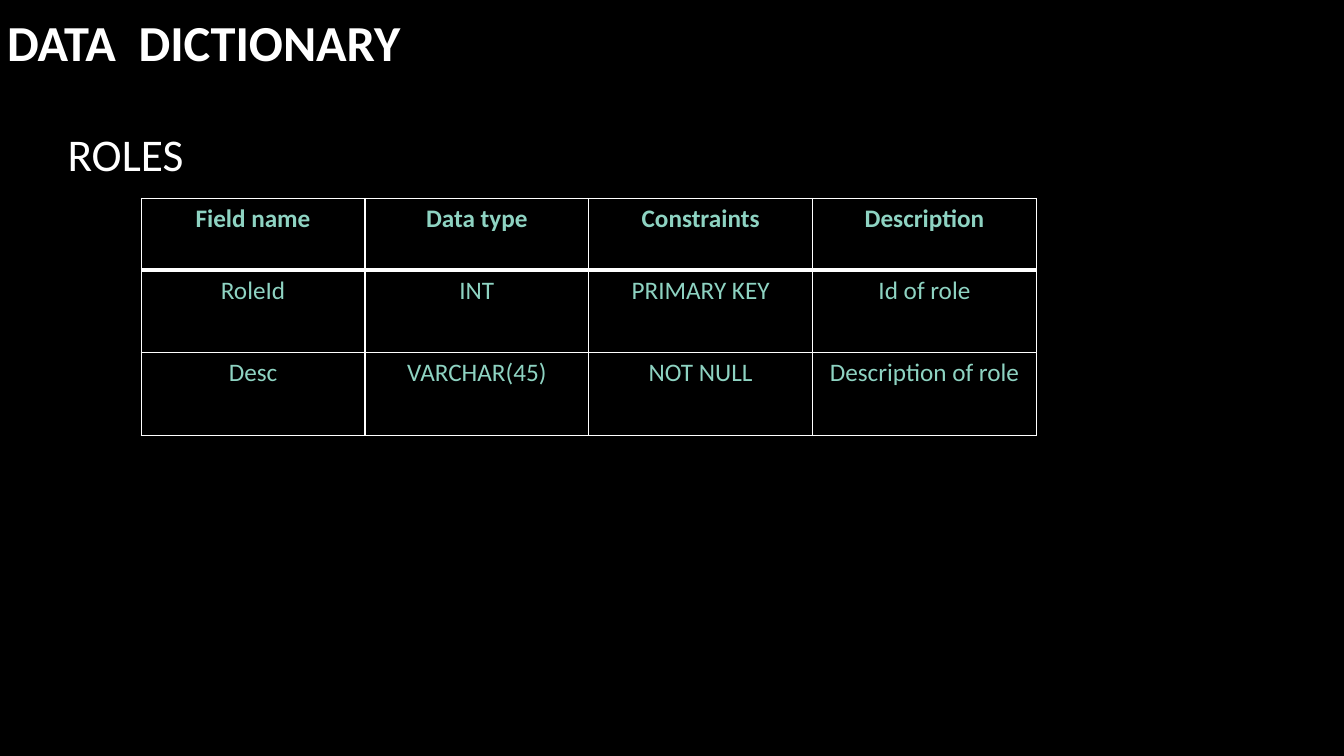
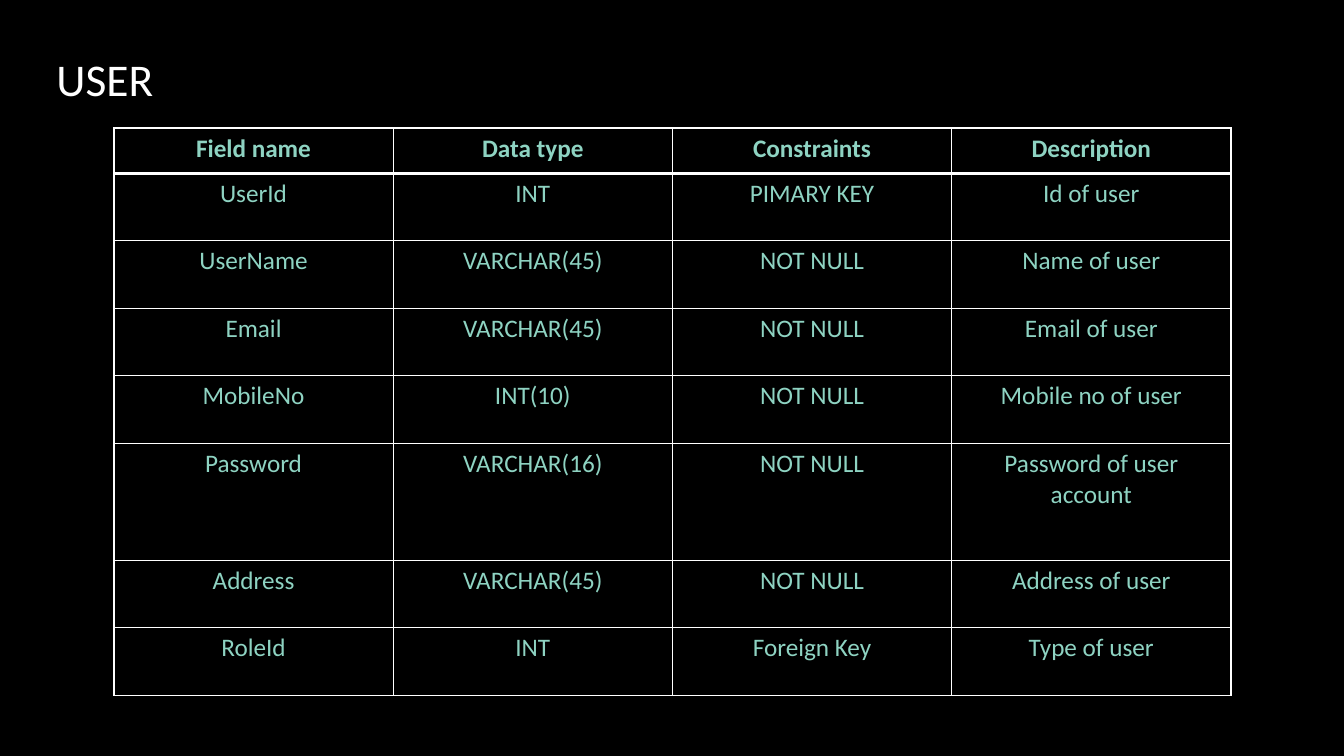
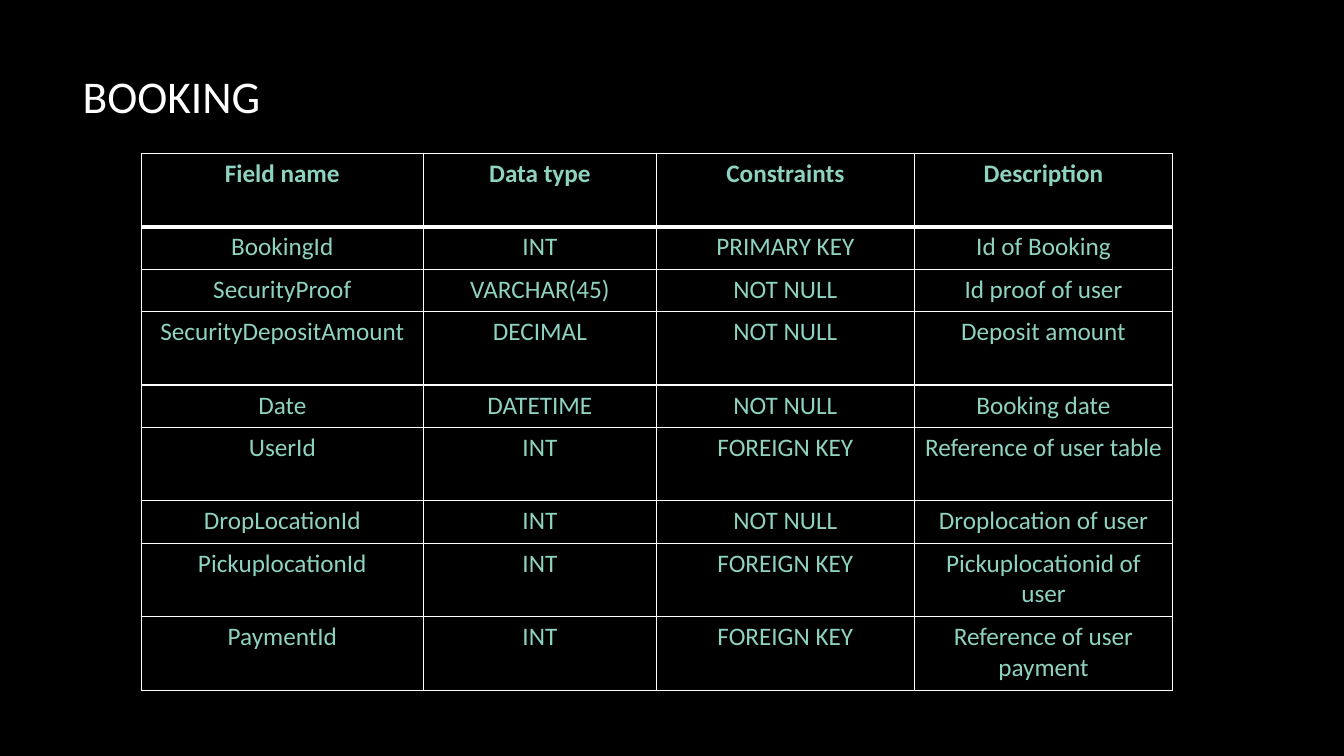
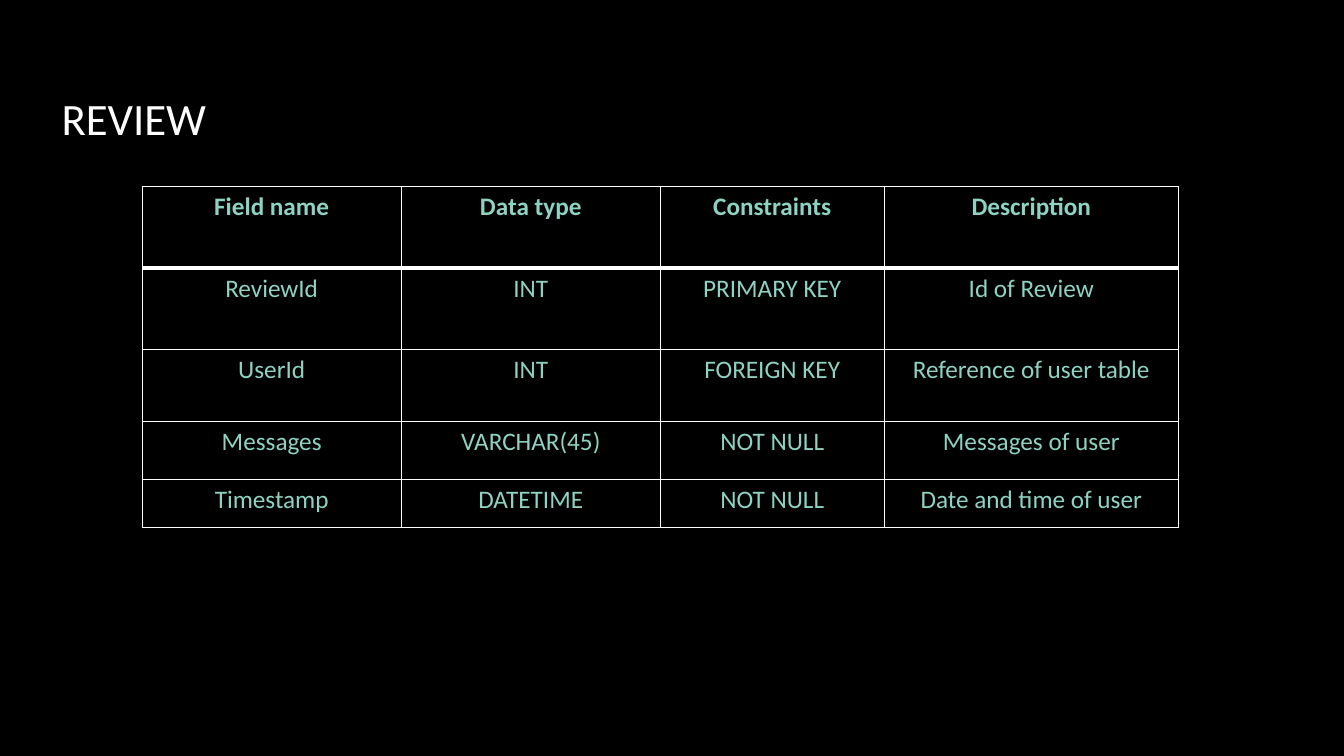
from dataclasses import dataclass

from lxml.etree import SubElement
from pptx import Presentation
from pptx.dml.color import RGBColor
from pptx.enum.text import MSO_ANCHOR, MSO_AUTO_SIZE, PP_ALIGN
from pptx.oxml.ns import qn
from pptx.util import Inches, Pt

BLACK = RGBColor(0x00, 0x00, 0x00)
WHITE = RGBColor(0xFF, 0xFF, 0xFF)
MINT = RGBColor(0x8E, 0xD3, 0xC2)
FONT = "Calibri"
HEADINGS = ("Field name", "Data type", "Constraints", "Description")
THIN, THICK = 1, 3  # border widths in points


@dataclass(frozen=True)
class TitleLine:
    text: str
    size: float = 32.4
    bold: bool = False
    indent: float = 0
    space_before: float = 0


@dataclass(frozen=True)
class Box:
    left: float
    top: float
    width: float
    height: float


@dataclass(frozen=True)
class TablePage:
    title: tuple[TitleLine, ...]
    title_box: Box
    table_left: float
    table_top: float
    columns: tuple[float, ...]
    row_heights: tuple[float, ...]
    fields: tuple[tuple[str, str, str, str], ...]


PAGES = (
    TablePage(
        title=(TitleLine("DATA  DICTIONARY", size=36, bold=True),
               TitleLine("ROLES", indent=0.6, space_before=39)),
        title_box=Box(0, 0.07, 11.08, 1.7),
        table_left=1.4, table_top=1.97,
        columns=(2.22,) * 4,
        row_heights=(0.71, 0.82, 0.82),
        fields=(
            ("RoleId", "INT", "PRIMARY KEY", "Id of role"),
            ("Desc", "VARCHAR(45)", "NOT NULL", "Description of role"),
        ),
    ),
    TablePage(
        title=(TitleLine("USER"),),
        title_box=Box(0.49, 0.46, 2.07, 0.57),
        table_left=1.13, table_top=1.27,
        columns=(2.77,) * 4,
        row_heights=(0.45, *(0.67,) * 4, 1.16, 0.67, 0.67),
        fields=(
            ("UserId", "INT", "PIMARY KEY", "Id of user"),
            ("UserName", "VARCHAR(45)", "NOT NULL", "Name of user"),
            ("Email", "VARCHAR(45)", "NOT NULL", "Email of user"),
            ("MobileNo", "INT(10)", "NOT NULL", "Mobile no of user"),
            ("Password", "VARCHAR(16)", "NOT NULL", "Password of user account"),
            ("Address", "VARCHAR(45)", "NOT NULL", "Address of user"),
            ("RoleId", "INT", "Foreign Key", "Type of user"),
        ),
    ),
    TablePage(
        title=(TitleLine("BOOKING"),),
        title_box=Box(0.75, 0.67, 11.08, 0.49),
        table_left=1.4, table_top=1.52,
        columns=(2.8, 2.31, 2.56, 2.56),
        row_heights=(0.73, 0.42, 0.42, 0.73, 0.42, 0.73, 0.42, 0.73, 0.73),
        fields=(
            ("BookingId", "INT", "PRIMARY KEY", "Id of Booking"),
            ("SecurityProof", "VARCHAR(45)", "NOT NULL", "Id proof of user"),
            ("SecurityDepositAmount", "DECIMAL", "NOT NULL", "Deposit amount"),
            ("Date", "DATETIME", "NOT NULL", "Booking date"),
            ("UserId", "INT", "FOREIGN KEY", "Reference of user table"),
            ("DropLocationId", "INT", "NOT NULL", "Droplocation of user"),
            ("PickuplocationId", "INT", "FOREIGN KEY", "Pickuplocationid of user"),
            ("PaymentId", "INT", "FOREIGN KEY", "Reference of user payment"),
        ),
    ),
    TablePage(
        title=(TitleLine("REVIEW", size=32),),
        title_box=Box(0.54, 0.59, 3.95, 1.09),
        table_left=1.41, table_top=1.85,
        columns=(2.57, 2.57, 2.22, 2.92),
        row_heights=(0.81, 0.81, 0.71, 0.58, 0.47),
        fields=(
            ("ReviewId", "INT", "PRIMARY KEY", "Id of Review"),
            ("UserId", "INT", "FOREIGN KEY", "Reference of user table"),
            ("Messages", "VARCHAR(45)", "NOT NULL", "Messages of user"),
            ("Timestamp", "DATETIME", "NOT NULL", "Date and time of user"),
        ),
    ),
)


def set_font(paragraph, size: float, bold: bool, color: RGBColor) -> None:
    font = paragraph.font
    font.name, font.size, font.bold = FONT, Pt(size), bold
    font.color.rgb = color


def format_title(shape, lines: tuple[TitleLine, ...], box: Box) -> None:
    shape.left, shape.top = Inches(box.left), Inches(box.top)
    shape.width, shape.height = Inches(box.width), Inches(box.height)
    frame = shape.text_frame
    frame.text = "\n".join(line.text for line in lines)
    frame.word_wrap = True
    frame.auto_size = MSO_AUTO_SIZE.NONE
    frame.vertical_anchor = MSO_ANCHOR.MIDDLE
    frame.margin_left = Inches(0.07)
    frame.margin_top, frame.margin_bottom = Inches(0.06), 0
    for paragraph, line in zip(frame.paragraphs, lines):
        paragraph.alignment = PP_ALIGN.LEFT
        paragraph.line_spacing = 1.0
        paragraph.space_before = Pt(line.space_before)
        paragraph._p.get_or_add_pPr().set("marL", str(Inches(line.indent)))
        set_font(paragraph, line.size, line.bold, WHITE)


def set_borders(cell, top: float, bottom: float) -> None:
    """Border lines come before the fill in the cell properties."""
    properties = cell._tc.get_or_add_tcPr()
    sides = {"lnL": THIN, "lnR": THIN, "lnT": top, "lnB": bottom}
    for position, (tag, width) in enumerate(sides.items()):
        border = SubElement(properties, qn(f"a:{tag}"), w=str(Pt(width)))
        fill = SubElement(border, qn("a:solidFill"))
        SubElement(fill, qn("a:srgbClr"), val=str(WHITE))
        properties.insert(position, border)


def add_field_table(slide, page: TablePage) -> None:
    rows = (HEADINGS, *page.fields)
    table = slide.shapes.add_table(
        len(rows), len(HEADINGS), Inches(page.table_left), Inches(page.table_top),
        Inches(sum(page.columns)), Inches(sum(page.row_heights))).table
    table.horz_banding = False
    for column, width in zip(table.columns, page.columns):
        column.width = Inches(width)
    for row_index, (texts, height) in enumerate(zip(rows, page.row_heights)):
        table.rows[row_index].height = Inches(height)
        for column_index, text in enumerate(texts):
            cell = table.cell(row_index, column_index)
            cell.text = text
            cell.fill.background()
            set_borders(cell, top=THICK if row_index == 1 else THIN,
                        bottom=THICK if row_index == 0 else THIN)
            paragraph = cell.text_frame.paragraphs[0]
            paragraph.alignment = PP_ALIGN.CENTER
            set_font(paragraph, 18, row_index == 0, MINT)


def main() -> None:
    presentation = Presentation()
    presentation.slide_width = Inches(13.33)
    presentation.slide_height = Inches(7.5)

    # Shared black background
    background = presentation.slide_master.background.fill
    background.solid()
    background.fore_color.rgb = BLACK

    # One table on each slide
    title_only = presentation.slide_layouts.get_by_name("Title Only")
    for page in PAGES:
        slide = presentation.slides.add_slide(title_only)
        format_title(slide.shapes.title, page.title, page.title_box)
        add_field_table(slide, page)

    presentation.save("out.pptx")


if __name__ == "__main__":
    main()
